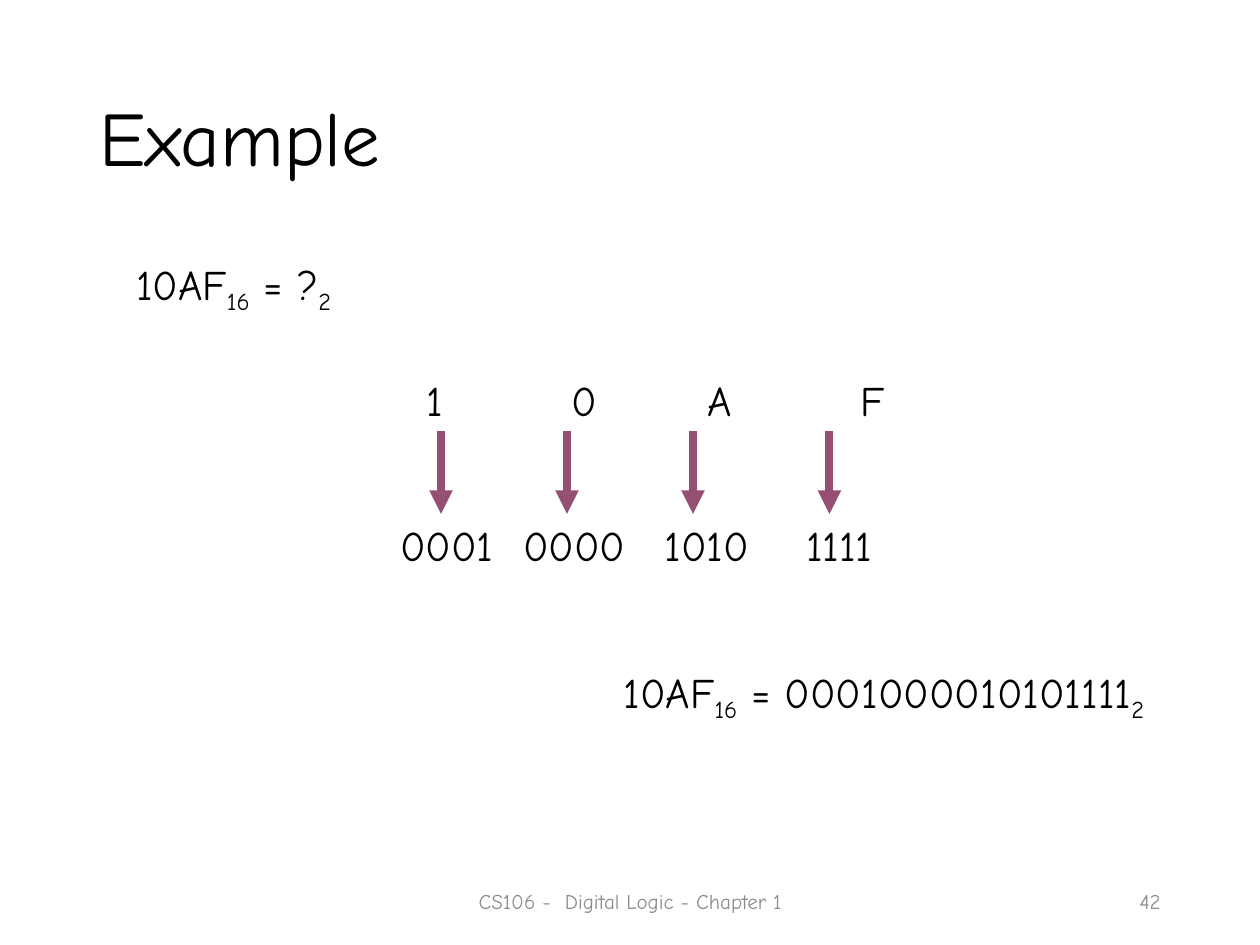
from lxml import etree
from pptx import Presentation
from pptx.dml.color import RGBColor
from pptx.enum.shapes import MSO_CONNECTOR
from pptx.enum.text import MSO_ANCHOR, MSO_AUTO_SIZE, PP_ALIGN
from pptx.oxml.ns import qn
from pptx.util import Cm, Pt

STRAIGHT = MSO_CONNECTOR.STRAIGHT
LEFT, CENTER, RIGHT = PP_ALIGN.LEFT, PP_ALIGN.CENTER, PP_ALIGN.RIGHT
TOP, MIDDLE = MSO_ANCHOR.TOP, MSO_ANCHOR.MIDDLE
NO_FIT = MSO_AUTO_SIZE.NONE

COLORS = {"text": "000000", "arrow": "954F72", "footer": "8C8C8C"}
FONT = "Comic Neue"


def add_span(para, text, size, color="text", baseline=0):
    span = para.add_run()
    span.text = text
    for name, value in {"name": FONT, "size": Pt(size)}.items():
        setattr(span.font, name, value)
    span.font.color.rgb = RGBColor.from_string(COLORS[color])
    if baseline:
        span._r.get_or_add_rPr().set("baseline", str(baseline * 1000))


def format_box(box, place, align, anchor=TOP):
    for name, value in zip(("left", "top", "width", "height"), place):
        setattr(box, name, Cm(value))
    frame = box.text_frame
    settings = {"word_wrap": True, "auto_size": NO_FIT, "vertical_anchor": anchor}
    for name, value in settings.items():
        setattr(frame, name, value)
    para = frame.paragraphs[0]
    para.alignment = align
    return para


deck = Presentation()
deck.slide_width, deck.slide_height = Cm(25.4), Cm(19.05)
page = deck.slides.add_slide(deck.slide_layouts[5])

# Title
para = format_box(page.shapes.title, (1.75, 1.02, 21.9, 3.68), LEFT, MIDDLE)
para.line_spacing = 0.9
add_span(para, "Example", 44)

# Question and answer, with the bases as subscripts
equations = [
    ((1.85, 5.08, 5.72, 1.27), " = ?"),
    ((11.15, 13.31, 13.34, 1.27), " = 0001000010101111"),
]
for place, result in equations:
    para = format_box(page.shapes.add_textbox(0, 0, 0, 0), place, CENTER)
    for text, baseline in (("10AF", 0), ("16", -25), (result, 0), ("2", -25)):
        add_span(para, text, 24, baseline=baseline)

# Hexadecimal digits above their four-bit groups, set on tab stops
conversion = page.shapes.add_group_shape()
box = conversion.shapes.add_textbox(0, 0, 0, 0)
para = format_box(box, (7.82, 7.42, 10.59, 4.37), LEFT)
rows = [
    ("\t1\t0\tA\tF", (0.53, 3.45, 6.2, 9.27), 0),
    ("0001\t0000\t1010\t1111", (2.48, 5.33, 8.18), 54),
]
for text, stops, space in rows:
    if space:
        para = box.text_frame.add_paragraph()
        para.space_before = Pt(space)
    tabs = etree.SubElement(para._p.get_or_add_pPr(), qn("a:tabLst"))
    for stop in stops:
        etree.SubElement(tabs, qn("a:tab"), pos=str(Cm(stop)), algn="l")
    add_span(para, text, 24)

# Arrows from digits to bits
for x in (8.89, 11.43, 13.97, 16.72):
    arrow = conversion.shapes.add_connector(STRAIGHT, Cm(x), Cm(8.69), Cm(x), Cm(10.36))
    arrow.line.color.rgb = RGBColor.from_string(COLORS["arrow"])
    arrow.line.width = Pt(4.5)
    etree.SubElement(arrow.line._get_or_add_ln(), qn("a:tailEnd"), type="triangle")
    etree.SubElement(arrow._element.spPr, qn("a:effectLst"))

# Footer and page number
footers = [
    ("CS106 -  Digital Logic - Chapter 1", (8.41, 17.65, 8.59, 1.02), CENTER),
    ("42", (17.93, 17.65, 5.72, 1.02), RIGHT),
]
for text, place, align in footers:
    para = format_box(page.shapes.add_textbox(0, 0, 0, 0), place, align, MIDDLE)
    add_span(para, text, 12, "footer")

deck.save("out.pptx")
